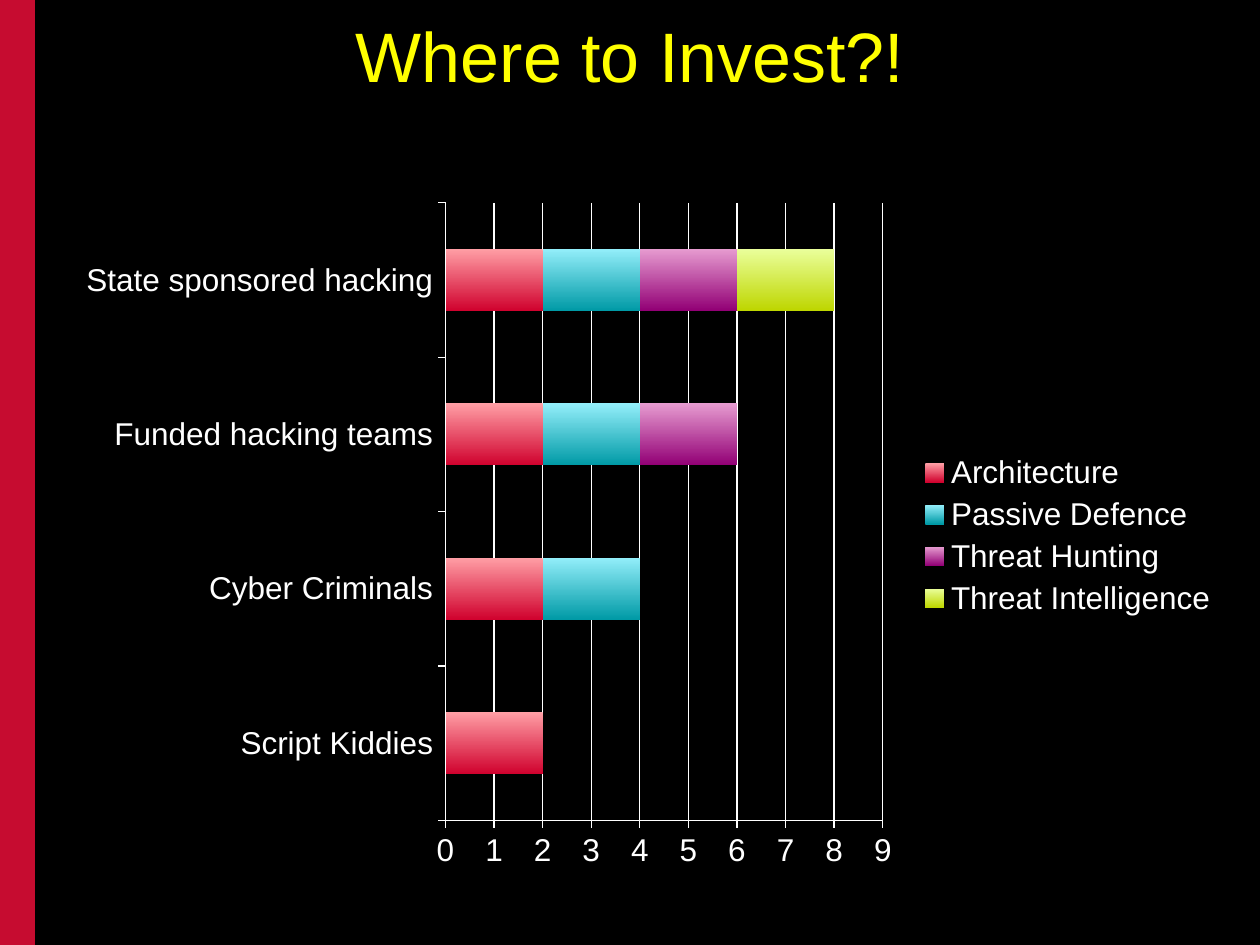
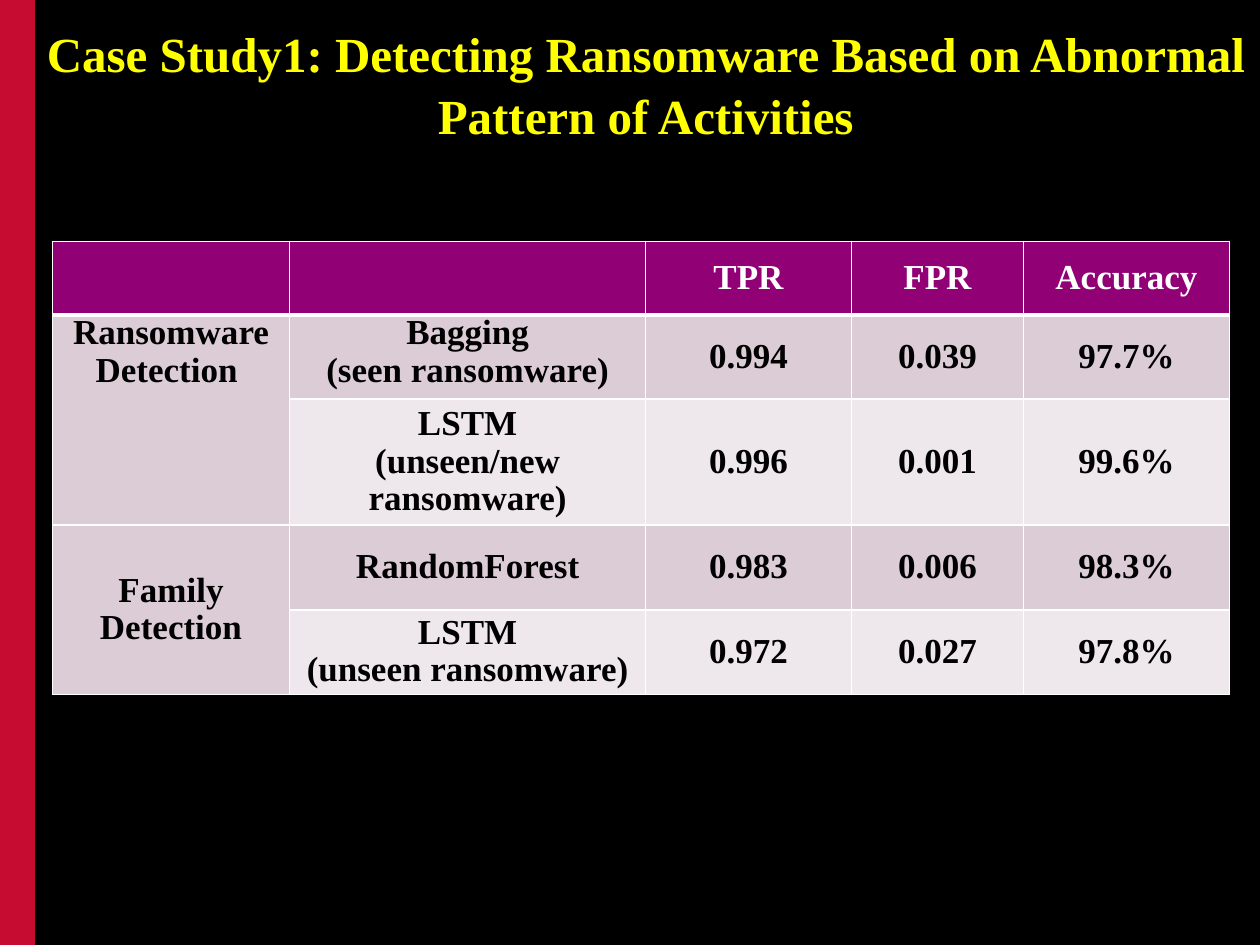
"""Builds two slides on where to invest in defence and how ransomware is detected."""
from lxml import etree
from pptx import Presentation
from pptx import util as u
from pptx.chart.data import CategoryChartData
from pptx.dml.color import RGBColor
from pptx.enum import chart as charts, shapes, text
from pptx.oxml.ns import qn

WIDTH, HEIGHT, BAND_WIDTH = 720, 540, 20
BLACK, WHITE, YELLOW, RED = "000000", "FFFFFF", "FFFF00", "C60C30"
HEADER_FILL, ROW_FILLS = "920075", ("DCCCD6", "EEE7EC")
SANS, SERIF = "Arial", "Times New Roman"

INVEST_TITLE = "Where to Invest?!"
ATTACKERS = ["Script Kiddies", "Cyber Criminals", "Funded hacking teams", "State sponsored hacking"]
DEFENCES = [
    ("Architecture", (2, 2, 2, 2), "FF9EA5", "D0022E"),
    ("Passive Defence", (0, 2, 2, 2), "93EEFA", "009AA6"),
    ("Threat Hunting", (0, 0, 2, 2), "E69BD0", "920075"),
    ("Threat Intelligence", (None, None, 0, 2), "EAFF9B", "BED600"),
]

CASE_TITLE = "Case Study1: Detecting Ransomware Based on Abnormal Pattern of Activities"
RESULTS = [
    ("", "", "TPR", "FPR", "Accuracy"),
    ("Ransomware Detection ", "Bagging\n(seen ransomware)", "0.994", "0.039", "97.7%"),
    ("", "LSTM\n(unseen/new ransomware)", "0.996", "0.001", "99.6%"),
    ("Family Detection", "RandomForest", "0.983", "0.006", "98.3%"),
    ("", "LSTM\n(unseen ransomware)", "0.972", "0.027", "97.8%"),
]
COLUMN_WIDTHS = (135.5, 203.5, 117.5, 98.5, 117.5)
ROW_HEIGHTS = (42, 48, 72, 48.5, 48.5)
MERGED_ROWS = ((1, 2), (3, 4))
TOP_ANCHORED = {(1, 0), (1, 1)}


def color(value):
    return RGBColor.from_string(value)


def paint(fill, value):
    fill.solid()
    fill.fore_color.rgb = color(value)


def style_font(font, name, size, value, bold=False):
    font.name, font.size, font.bold = name, u.Pt(size), bold
    font.color.rgb = color(value)


def set_margins(target, left, top, right, bottom):
    target.margin_left, target.margin_top = u.Pt(left), u.Pt(top)
    target.margin_right, target.margin_bottom = u.Pt(right), u.Pt(bottom)


def add_slide(presentation):
    slide = presentation.slides.add_slide(presentation.slide_layouts[6])
    band = slide.shapes.add_shape(shapes.MSO_SHAPE.RECTANGLE, 0, 0, u.Pt(BAND_WIDTH), u.Pt(HEIGHT))
    band.shadow.inherit = False
    paint(band.fill, RED)
    band.line.fill.background()
    return slide


def add_title(slide, wording, box, margins, font_name, size, bold=False):
    frame = slide.shapes.add_textbox(*map(u.Pt, box)).text_frame
    frame.word_wrap = True
    frame.vertical_anchor = text.MSO_ANCHOR.TOP
    set_margins(frame, *margins)
    frame.text = wording
    paragraph = frame.paragraphs[0]
    paragraph.alignment = text.PP_ALIGN.CENTER
    paragraph.line_spacing = 1.05
    style_font(paragraph.font, font_name, size, YELLOW, bold)


def style_axis(axis):
    axis.major_tick_mark = charts.XL_TICK_MARK.OUTSIDE
    axis.minor_tick_mark = charts.XL_TICK_MARK.NONE
    axis.format.line.color.rgb = color(WHITE)
    axis.format.line.width = u.Pt(0.75)


def add_defence_chart(slide):
    data = CategoryChartData()
    data.categories = ATTACKERS
    for name, values, _, _ in DEFENCES:
        data.add_series(name, values)
    chart = slide.shapes.add_chart(
        charts.XL_CHART_TYPE.BAR_STACKED, u.Pt(36), u.Pt(108), u.Pt(667.5), u.Pt(396), data).chart
    style_font(chart.font, SANS, 18, WHITE)
    chart.has_title = False
    chart.has_legend = True
    chart.legend.position = charts.XL_LEGEND_POSITION.RIGHT
    chart.legend.include_in_layout = False
    style_axis(chart.category_axis)
    value_axis = chart.value_axis
    style_axis(value_axis)
    value_axis.minimum_scale, value_axis.maximum_scale, value_axis.major_unit = 0, 9, 1
    value_axis.has_major_gridlines = True
    gridlines = value_axis.major_gridlines.format.line
    gridlines.color.rgb = color(WHITE)
    gridlines.width = u.Pt(0.75)
    plot = chart.plots[0]
    plot.gap_width, plot.overlap, plot.vary_by_categories = 150, 100, False
    for series, (_, _, light, dark) in zip(plot.series, DEFENCES):
        fill = series.format.fill
        fill.gradient()
        fill.gradient_angle = 270
        for stop, value in zip(fill.gradient_stops, (light, dark)):
            stop.color.rgb = color(value)


def add_borders(cell, bottom_width):
    properties = cell._tc.get_or_add_tcPr()
    widths = {"a:lnL": 1, "a:lnR": 1, "a:lnT": 1, "a:lnB": bottom_width}
    for position, (tag, width) in enumerate(widths.items()):
        line = etree.Element(qn(tag), w=str(u.Pt(width)))
        fill = etree.SubElement(line, qn("a:solidFill"))
        etree.SubElement(fill, qn("a:srgbClr"), val=WHITE)
        properties.insert(position, line)


def style_cell(cell, row, column):
    header = row == 0
    paint(cell.fill, HEADER_FILL if header else ROW_FILLS[0 if column == 0 else (row - 1) % 2])
    add_borders(cell, 3 if header else 1)
    set_margins(cell, 5, 0, 5, 0)
    top = (row, column) in TOP_ANCHORED
    cell.vertical_anchor = text.MSO_ANCHOR.TOP if top else text.MSO_ANCHOR.MIDDLE
    cell.text_frame.text = RESULTS[row][column]
    for paragraph in cell.text_frame.paragraphs:
        paragraph.alignment = text.PP_ALIGN.CENTER
        paragraph.line_spacing = 0.96
        style_font(paragraph.font, SERIF, 20, WHITE if header else BLACK, True)


def add_results_table(slide):
    table = slide.shapes.add_table(
        len(ROW_HEIGHTS), len(COLUMN_WIDTHS), u.Pt(30), u.Pt(138),
        u.Pt(sum(COLUMN_WIDTHS)), u.Pt(sum(ROW_HEIGHTS))).table
    for column, width in zip(table.columns, COLUMN_WIDTHS):
        column.width = u.Pt(width)
    for row, height in zip(table.rows, ROW_HEIGHTS):
        row.height = u.Pt(height)
    for row in range(len(ROW_HEIGHTS)):
        for column in range(len(COLUMN_WIDTHS)):
            style_cell(table.cell(row, column), row, column)
    for first, last in MERGED_ROWS:
        table.cell(first, 0).merge(table.cell(last, 0))


def main():
    presentation = Presentation()
    presentation.slide_width, presentation.slide_height = u.Pt(WIDTH), u.Pt(HEIGHT)
    paint(presentation.slide_master.background.fill, BLACK)

    invest = add_slide(presentation)
    add_title(invest, INVEST_TITLE, (0, 0, WIDTH, 84), (7, 5, 7, 4), SANS, 40)
    add_defence_chart(invest)

    case_study = add_slide(presentation)
    add_title(case_study, CASE_TITLE, (18, 12, WIDTH - 18, 70.5), (0, 0, 0, 2), SERIF, 28, True)
    add_results_table(case_study)

    presentation.save("out.pptx")


if __name__ == "__main__":
    main()
